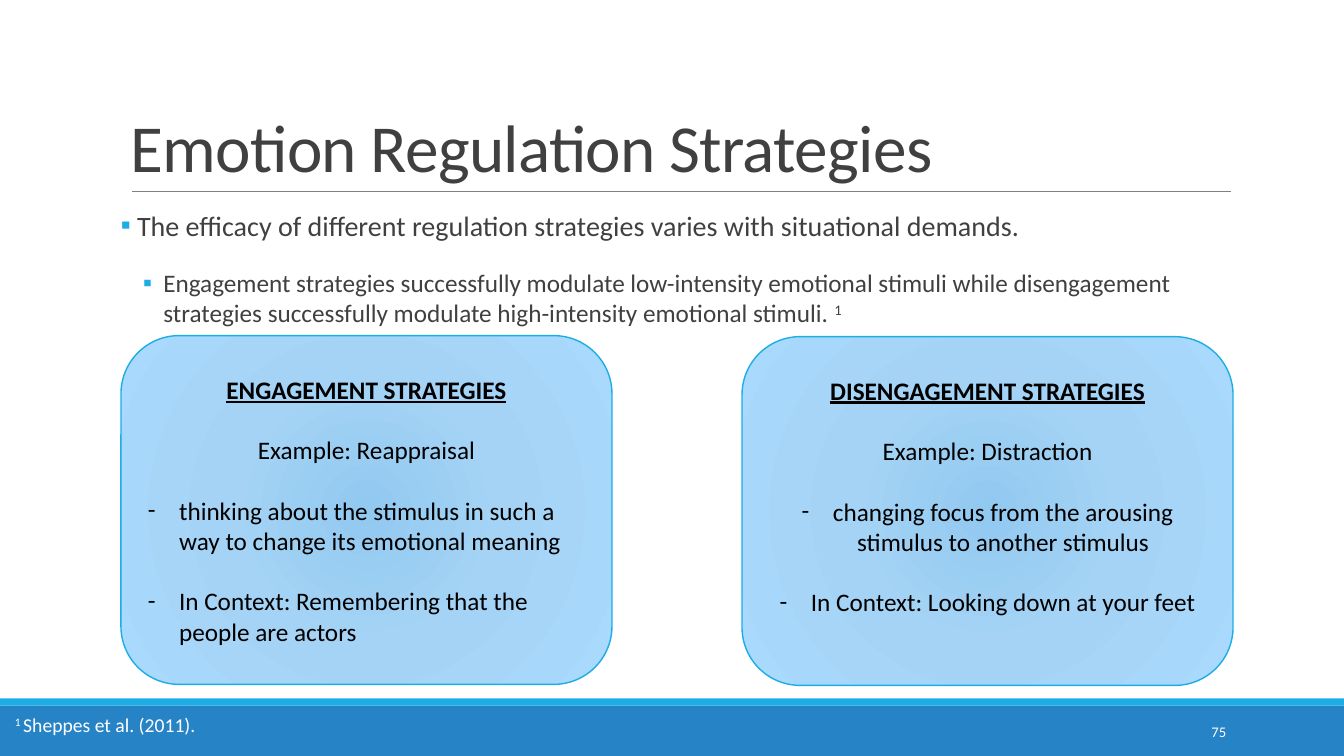
from lxml.etree import SubElement
from pptx import Presentation
from pptx.dml.color import RGBColor
from pptx.enum.shapes import MSO_CONNECTOR as Connector, MSO_SHAPE as Shape
from pptx.enum.text import MSO_ANCHOR as Anchor, PP_ALIGN as Align
from pptx.oxml.ns import qn
from pptx.util import Inches, Pt

BLUE = RGBColor(0x26, 0x83, 0xC6)
CYAN = RGBColor(0x1C, 0xAD, 0xE4)
GRAY = RGBColor(0x80, 0x80, 0x80)
DARK = RGBColor(0x40, 0x40, 0x40)
BLACK = RGBColor(0, 0, 0)
WHITE = RGBColor(0xFF, 0xFF, 0xFF)
GLOW = [(0, RGBColor(0x92, 0xC9, 0xF0)),
        (45, RGBColor(0xA4, 0xD3, 0xF5)),
        (100, RGBColor(0xA9, 0xD9, 0xFD))]
FONT = "Calibri"


class StrategySlide:
    def __init__(self, deck):
        self.slide = deck.slides.add_slide(deck.slide_layouts[6])
        self.shapes = self.slide.shapes

    def shape(self, kind, left, top, width, height):
        shape = self.shapes.add_shape(
            kind, Inches(left), Inches(top), Inches(width), Inches(height))
        shape.shadow.inherit = False
        return shape

    def bar(self, top, height, color):
        bar = self.shape(Shape.RECTANGLE, 0, top, 13.33, height)
        bar.fill.solid()
        bar.fill.fore_color.rgb = color
        bar.line.fill.background()

    def rule(self, left, right, top):
        rule = self.shapes.add_connector(
            Connector.STRAIGHT, Inches(left), Inches(top), Inches(right), Inches(top))
        rule.line.color.rgb = GRAY
        rule.line.width = Pt(0.5)
        SubElement(rule._element.spPr, qn("a:effectLst"))

    def text_box(self, left, top, width, height, anchor=Anchor.TOP, wrap=True):
        frame = self.shapes.add_textbox(
            Inches(left), Inches(top), Inches(width), Inches(height)).text_frame
        frame.word_wrap = wrap
        frame.vertical_anchor = anchor
        return frame

    def paragraph(self, frame, align=Align.LEFT, before=0, after=0):
        first = frame.paragraphs[0]
        paragraph = frame.add_paragraph() if first.runs else first
        paragraph.alignment = align
        paragraph.space_before = Pt(before)
        paragraph.space_after = Pt(after)
        return paragraph

    def bullet(self, paragraph, mark, margin, hang, color):
        props = paragraph._p.get_or_add_pPr()
        props.set("marL", str(Inches(margin)))
        props.set("indent", str(-Inches(hang)))
        tint = SubElement(props, qn("a:buClr"))
        SubElement(tint, qn("a:srgbClr"), val=str(color))
        SubElement(props, qn("a:buFont"), typeface=FONT)
        SubElement(props, qn("a:buChar"), char=mark)

    def run(self, paragraph, text, size, color, heading=False, raised=False, spacing=0):
        run = paragraph.add_run()
        run.text = text
        run.font.name = FONT
        run.font.size = Pt(size)
        run.font.color.rgb = color
        run.font.bold = heading
        run.font.underline = heading
        props = run._r.get_or_add_rPr()
        if raised:
            props.set("baseline", "30000")
        if spacing:
            props.set("spc", str(round(spacing * 100)))

    def card(self, left, top, heading, example, points, align, bottom_inset):
        card = self.shape(Shape.ROUNDED_RECTANGLE, left, top, 4.87, 3.46)
        card.line.color.rgb = CYAN
        card.line.width = Pt(1)
        card.fill.gradient()
        gradient = card._element.spPr.find(qn("a:gradFill"))
        for child in list(gradient):
            gradient.remove(child)
        stops = SubElement(gradient, qn("a:gsLst"))
        for position, color in GLOW:
            stop = SubElement(stops, qn("a:gs"), pos=str(position * 1000))
            SubElement(stop, qn("a:srgbClr"), val=str(color))
        circle = SubElement(gradient, qn("a:path"), path="circle")
        SubElement(circle, qn("a:fillToRect"), {side: "50000" for side in "ltrb"})

        frame = card.text_frame
        frame.word_wrap = True
        frame.vertical_anchor = Anchor.MIDDLE
        frame.margin_bottom = Inches(bottom_inset)
        self.run(self.paragraph(frame, Align.CENTER), heading, 18, BLACK, heading=True)
        self.run(self.paragraph(frame, Align.CENTER, before=21.6), example, 18, BLACK)
        for point in points:
            paragraph = self.paragraph(frame, align, before=21.6)
            self.bullet(paragraph, "-", 0.31, 0.31, BLACK)
            self.run(paragraph, point, 18, BLACK)


def main():
    deck = Presentation()
    deck.slide_width, deck.slide_height = Inches(13.33), Inches(7.5)
    page = StrategySlide(deck)

    page.bar(7, 0.5, BLUE)
    page.bar(6.93, 0.07, CYAN)
    page.rule(1.31, 12.21, 1.9)

    title = page.paragraph(page.text_box(1.2, 0.31, 11, 1.59, Anchor.BOTTOM))
    title.line_spacing = 0.85
    page.run(title, "Emotion Regulation Strategies", 48, DARK, spacing=-0.5)

    body = page.text_box(1.2, 2.02, 11, 4.4)
    body.margin_left = body.margin_right = 0
    claim = page.paragraph(body, after=6)
    page.bullet(claim, "▪", 0.16, 0.16, CYAN)
    page.run(claim, "The efficacy of different regulation strategies varies "
                    "with situational demands.", 20, DARK)
    finding = page.paragraph(body, before=12, after=6)
    finding.level = 1
    page.bullet(finding, "▪", 0.42, 0.2, CYAN)
    page.run(finding, "Engagement strategies successfully modulate low-intensity "
                      "emotional stimuli while disengagement strategies successfully "
                      "modulate high-intensity emotional stimuli. ", 18, DARK)
    page.run(finding, "1", 18, DARK, raised=True)

    citation = page.paragraph(page.text_box(0, 7.02, 2.04, 0.34, wrap=False), Align.RIGHT)
    page.run(citation, "1 ", 14, WHITE, raised=True)
    page.run(citation, "Sheppes et al. (2011).", 14, WHITE)

    page.card(1.2, 3.33, "ENGAGEMENT STRATEGIES", "Example: Reappraisal",
              ["thinking about the stimulus in such a way to change its emotional meaning",
               "In Context: Remembering that the people are actors"],
              Align.LEFT, 0.05)
    page.card(7.36, 3.34, "DISENGAGEMENT STRATEGIES", "Example: Distraction",
              ["changing focus from the arousing stimulus to another stimulus",
               "In Context: Looking down at your feet"],
              Align.CENTER, 0.35)

    number = page.paragraph(page.text_box(10.83, 7.06, 1.43, 0.4, Anchor.MIDDLE), Align.RIGHT)
    page.run(number, "75", 10.5, WHITE)

    deck.save("out.pptx")


if __name__ == "__main__":
    main()
